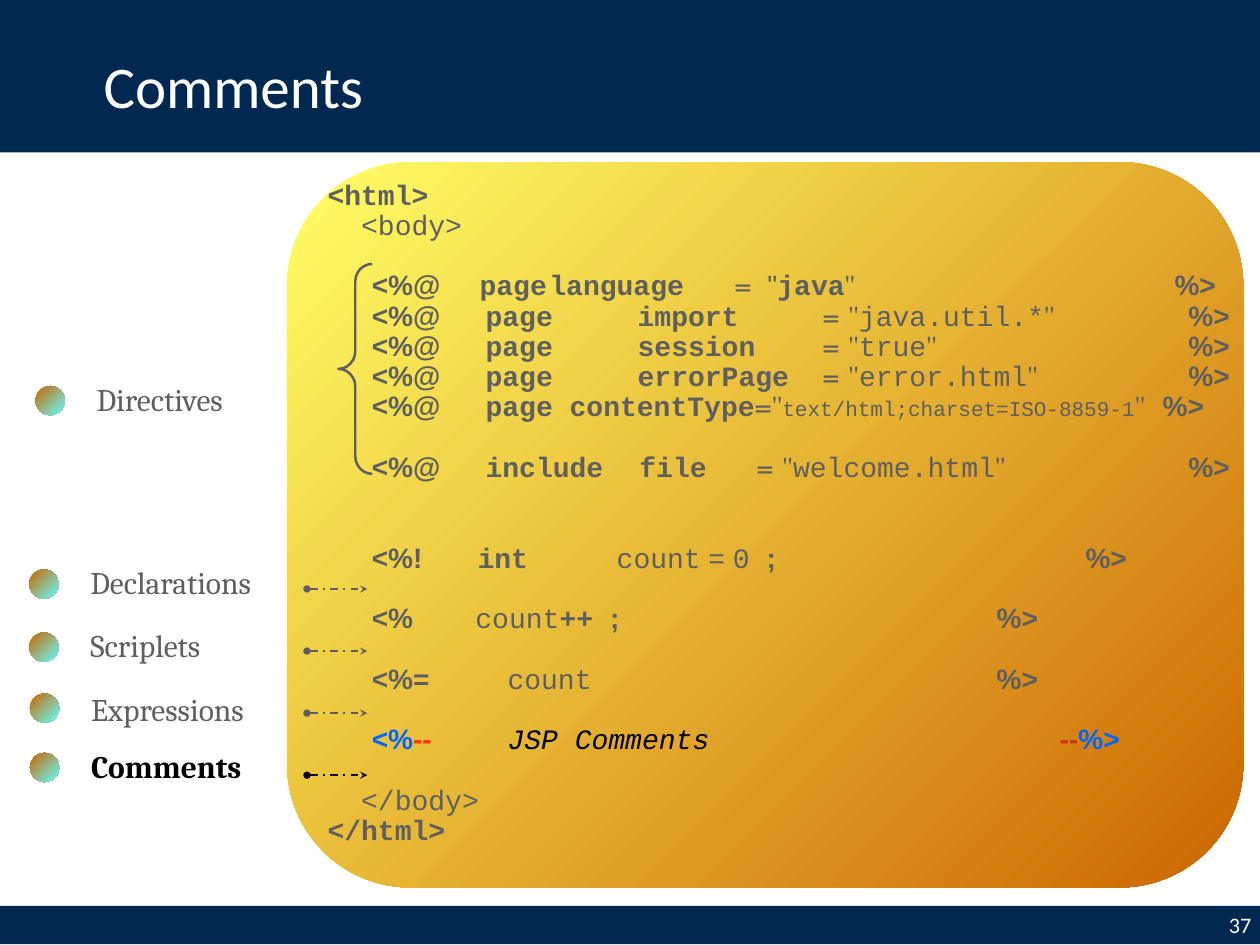
import dataclasses

import lxml.etree
import pptx
import pptx.dml.color
import pptx.enum.dml
import pptx.enum.shapes
import pptx.enum.text
import pptx.oxml.ns
import pptx.util

Cm = pptx.util.Cm
Pt = pptx.util.Pt
Shape = pptx.enum.shapes.MSO_SHAPE
Align = pptx.enum.text.PP_ALIGN
Anchor = pptx.enum.text.MSO_ANCHOR


def rgb(code):
    return pptx.dml.color.RGBColor.from_string(code)


def tag(parent, name, **attrs):
    """Append a DrawingML child to an element."""
    child = lxml.etree.SubElement(parent, pptx.oxml.ns.qn("a:" + name))
    for key, value in attrs.items():
        child.set(key, str(value))
    return child


@dataclasses.dataclass(frozen=True)
class Theme:
    navy: str = "002850"
    white: str = "FFFFFF"
    grey: str = "5F5F5F"
    black: str = "000000"
    blue: str = "0066FF"
    red: str = "FF3300"
    rust: str = "CC3300"
    sun: str = "FFFF66"
    amber: str = "CC6600"
    aqua: str = "66FFFF"
    sans: str = "Arial"
    mono: str = "Courier New"
    serif: str = "TeX Gyre Bonum"
    label: str = "Cambria"
    head: str = "Calibri"
    title: float = 48
    item: float = 25.6
    code: float = 22.8
    small: float = 17.1
    page: float = 18
    pitch: float = 24.6


class Deck:
    def __init__(self, theme, slide):
        self.theme = theme
        self.slide = slide

    def shape(self, kind, box, fill=None, line=None, width=2):
        """Draw a preset; fill is one colour, a pair for a gradient, or None."""
        shape = self.slide.shapes.add_shape(kind, *map(Cm, box))
        shape.shadow.inherit = False
        if fill is None:
            shape.fill.background()
        elif isinstance(fill, tuple):
            shape.fill.gradient()
            shape.fill.gradient_angle = 315
            for stop, code in zip(shape.fill.gradient_stops, fill):
                stop.color.rgb = rgb(code)
        else:
            shape.fill.solid()
            shape.fill.fore_color.rgb = rgb(fill)
        if line:
            shape.line.color.rgb = rgb(line)
            shape.line.width = Pt(width)
        else:
            shape.line.fill.background()
        return shape

    def run(self, para, text, face, size, code, bold=False, slant=False):
        run = para.add_run()
        run.text = text
        font = run.font
        font.name, font.size, font.bold, font.italic = face, Pt(size), bold, slant
        font.color.rgb = rgb(code)

    def frame(self, box, anchor=Anchor.TOP):
        frame = self.slide.shapes.add_textbox(*map(Cm, box)).text_frame
        frame.word_wrap = True
        frame.vertical_anchor = anchor
        return frame

    def text(self, box, words, face, size, code, bold=False,
             anchor=Anchor.TOP, align=Align.LEFT):
        para = self.frame(box, anchor).paragraphs[0]
        para.alignment = align
        self.run(para, words, face, size, code, bold)

    def code(self, box, lines):
        """Write code lines, each given as (blank lines above, tab stops, runs)."""
        theme = self.theme
        looks = {
            "sans": (theme.sans, theme.code, theme.grey, True),
            "thin": (theme.sans, theme.code, theme.grey),
            "mono": (theme.mono, theme.code, theme.grey),
            "bold": (theme.mono, theme.code, theme.grey, True),
            "tiny": (theme.mono, theme.small, theme.grey),
            "serif": (theme.serif, theme.code, theme.grey),
            "blue": (theme.sans, theme.code, theme.blue, True),
            "red": (theme.sans, theme.code, theme.red, True),
            "rust": (theme.sans, theme.code, theme.rust, True),
            "note": (theme.mono, theme.code, theme.black, False, True),
        }
        frame = self.frame(box)
        for row, (blank, stops, runs) in enumerate(lines):
            para = frame.add_paragraph() if row else frame.paragraphs[0]
            para.line_spacing = Pt(theme.pitch)
            if blank:
                para.space_before = Pt(blank * theme.pitch)
            if stops:
                tabs = tag(para._p.get_or_add_pPr(), "tabLst")
                for stop in stops:
                    tag(tabs, "tab", pos=Cm(stop), algn="l")
            for look, words in runs:
                self.run(para, words, *looks[look])

    def arrow(self, left, top, length, code):
        line = self.slide.shapes.add_connector(
            pptx.enum.shapes.MSO_CONNECTOR.STRAIGHT,
            Cm(left), Cm(top), Cm(left + length), Cm(top))
        line.line.color.rgb = rgb(code)
        line.line.width = Pt(1.5)
        line.line.dash_style = pptx.enum.dml.MSO_LINE.DASH_DOT
        pen = line.line._get_or_add_ln()
        tag(pen, "headEnd", type="oval")
        tag(pen, "tailEnd", type="stealth")
        tag(line._element.spPr, "effectLst")


START = 1.27
WIDE = (START, 4.53, 8.89, 14.19, 24.68)


def setting(name, value):
    """One page directive with its value in quotes."""
    return [("sans", "\t<%@"), ("bold", f"\tpage\t{name}"), ("serif", "\t= \""),
            ("mono", value), ("serif", "\""), ("sans", "\t%>")]


LINES = [
    (0, (), [("bold", "<html>")]),
    (0, (), [("mono", "  <body>")]),
    (1, (START, 4.36, 6.36, 11.67, 12.61, 24.28), [
        ("sans", "\t<%@"), ("bold", "\tpage\tlanguage"), ("serif", "\t="),
        ("thin", "\t\""), ("bold", "java"), ("serif", "\""), ("sans", "\t%>")]),
    (0, WIDE, setting("import", "java.util.*")),
    (0, WIDE, setting("session", "true")),
    (0, WIDE, setting("errorPage", "error.html")),
    (0, (START, 4.53, 23.94), [
        ("sans", "\t<%@"), ("bold", "\tpage contentType"), ("serif", "=\""),
        ("tiny", "text/html;charset=ISO-8859-1"), ("serif", "\""), ("sans", "\t%>")]),
    (1, (START, 4.53, 8.94, 12.3, 24.68), [
        ("sans", "\t<%@"), ("bold", "\tinclude\tfile"), ("serif", "\t= \""),
        ("mono", "welcome.html"), ("serif", "\""), ("sans", "\t%>")]),
    (2, (START, 4.3, 8.29, 21.73), [
        ("sans", "\t<%!"), ("bold", "\tint"), ("mono", "\tcount"),
        ("thin", " = "), ("mono", "0 "), ("sans", ";\t%>")]),
    (1, (START, 4.24, 19.18), [
        ("sans", "\t<%"), ("mono", "\tcount"), ("bold", "++ "), ("sans", ";\t%>")]),
    (1, (START, 5.16, 19.18), [
        ("sans", "\t<%="), ("mono", "\tcount"), ("sans", "\t%>")]),
    (1, (START, 5.16, 20.99), [
        ("blue", "\t<%"), ("red", "--"), ("note", "\tJSP Comments"),
        ("rust", "\t--"), ("blue", "%>")]),
    (1, (), [("mono", "  </body>")]),
    (0, (), [("bold", "</html>")]),
]

# Name, dot left, dot top, text top
LABELS = [
    ("Directives", 1.02, 11.07, 10.77),
    ("Declarations", 0.84, 16.33, 16.03),
    ("Scriplets", 0.84, 18.14, 17.83),
    ("Expressions", 0.86, 19.89, 19.66),
    ("Comments", 0.86, 21.59, 21.29),
]


def main():
    show = pptx.Presentation()
    show.slide_width, show.slide_height = Cm(36.12), Cm(27.1)
    theme = Theme()
    deck = Deck(theme, show.slides.add_slide(show.slide_layouts[6]))

    foot = (0, 25.98, 36.12, 1.1)
    for bar in ((0, 0, 36.12, 4.37), foot):
        deck.shape(Shape.RECTANGLE, bar, theme.navy)
    deck.text(foot, "37", theme.head, theme.page, theme.white,
              anchor=Anchor.MIDDLE, align=Align.RIGHT)

    panel = deck.shape(Shape.ROUNDED_RECTANGLE, (8.23, 4.65, 27.41, 20.8),
                       (theme.sun, theme.amber))
    panel.adjustments[0] = 0.17
    deck.code((9.14, 5.05, 26.7, 20.42), LINES)

    for name, left, top, base in LABELS:
        live = name == "Comments"
        deck.shape(Shape.OVAL, (left, top, 0.84, 0.84), (theme.amber, theme.aqua))
        deck.text((left + 1.5, base, 6.32, 1.35), name, theme.label, theme.item,
                  theme.black if live else theme.grey, live)
    for step in range(4):
        deck.arrow(8.8, 16.89 + 1.78 * step, 1.73,
                   theme.black if step == 3 else theme.grey)

    brace = deck.shape(Shape.LEFT_BRACE, (9.7, 7.57, 0.97, 6.02), line=theme.grey)
    brace.adjustments[0] = 0.52
    deck.text((2.72, 0.43, 30.71, 4.01), "Comments", theme.head, theme.title,
              theme.white, anchor=Anchor.MIDDLE)
    show.save("out.pptx")


if __name__ == "__main__":
    main()
